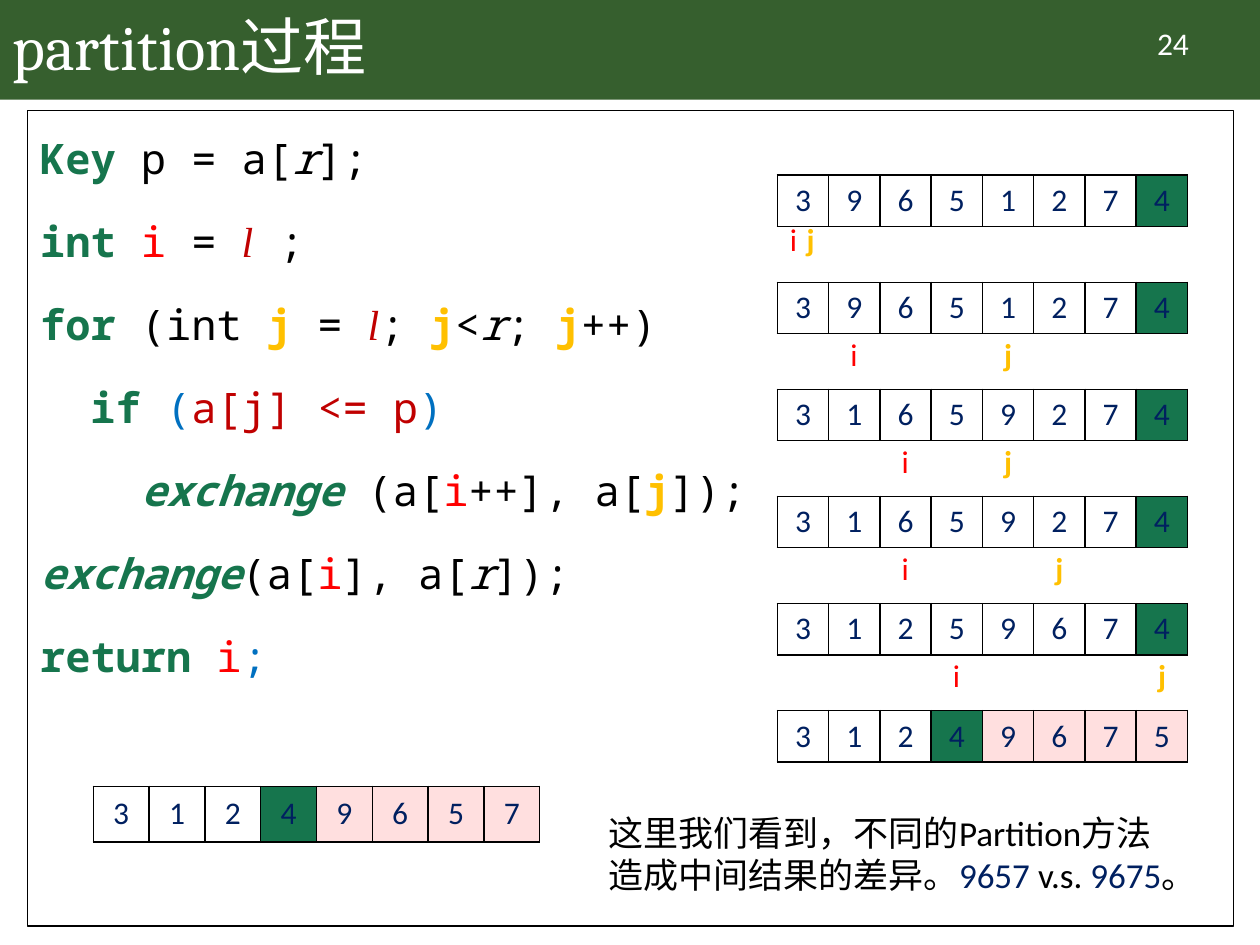
"""Build the slide that traces the quicksort partition process."""
from lxml import etree
from pptx import Presentation
from pptx.dml.color import RGBColor
from pptx.enum import shapes, text
from pptx.oxml import ns
from pptx.util import Inches, Pt

BLACK = RGBColor(0x00, 0x00, 0x00)
WHITE = RGBColor(0xFF, 0xFF, 0xFF)
FOREST = RGBColor(0x36, 0x5F, 0x2E)
GREEN = RGBColor(0x16, 0x75, 0x4D)
RED = RGBColor(0xFF, 0x00, 0x00)
CRIMSON = RGBColor(0xC0, 0x00, 0x00)
GOLD = RGBColor(0xFF, 0xC0, 0x00)
BLUE = RGBColor(0x00, 0x70, 0xC0)
NAVY = RGBColor(0x00, 0x20, 0x60)
PINK = RGBColor(0xFF, 0xDF, 0xDF)
MONO, SERIF = "Noto Sans Mono", "Times New Roman"


def write(paragraph, words, size, colour, font="Calibri", bold=False, italic=False):
    run = paragraph.add_run()
    run.text = words
    run.font.size = Pt(size)
    run.font.name = font
    run.font.color.rgb = colour
    run.font.bold = bold
    run.font.italic = italic


def add_array(slide, left, top, cell_size, values, pivot):
    count = len(values)
    frame = slide.shapes.add_table(
        1, count, Inches(left), Inches(top), Inches(cell_size * count), Inches(cell_size))
    array = frame.table
    array.first_row = array.horz_banding = False
    array.rows[0].height = Inches(cell_size)
    for index, value in enumerate(values):
        array.columns[index].width = Inches(cell_size)
        cell = array.cell(0, index)
        for side in ("a:lnL", "a:lnR", "a:lnT", "a:lnB"):
            border = etree.SubElement(cell._tc.get_or_add_tcPr(), ns.qn(side), w="12700")
            paint = etree.SubElement(border, ns.qn("a:solidFill"))
            etree.SubElement(paint, ns.qn("a:srgbClr"), val=str(BLACK))
        cell.fill.solid()
        cell.fill.fore_color.rgb = GREEN if index == pivot else PINK if index > pivot else WHITE
        cell.vertical_anchor = text.MSO_ANCHOR.MIDDLE
        cell.margin_left = cell.margin_right = Inches(0.07)
        cell.margin_top = cell.margin_bottom = Inches(0.04)
        paragraph = cell.text_frame.paragraphs[0]
        paragraph.alignment = text.PP_ALIGN.CENTER
        write(paragraph, value, 18, NAVY)


deck = Presentation()
deck.slide_width, deck.slide_height = Inches(10), Inches(7.5)
slide = deck.slides.add_slide(deck.slide_layouts[6])

banner = slide.shapes.add_shape(
    shapes.MSO_SHAPE.RECTANGLE, 0, 0, Inches(10), Inches(0.79))
banner.shadow.inherit = False
banner.fill.solid()
banner.fill.fore_color.rgb = FOREST
banner.line.fill.background()

title = slide.shapes.add_textbox(0, 0, Inches(8.62), Inches(0.79)).text_frame
title.word_wrap = True
title.vertical_anchor = text.MSO_ANCHOR.MIDDLE
title.paragraphs[0].line_spacing = 0.9
write(title.paragraphs[0], "partition过程", 36, WHITE, "Cambria")

code_lines = [
    [("Key ", GREEN, "b"), ("p = a[", BLACK, ""), ("r", BLACK, "i"), ("];", BLACK, "")],
    [("int ", GREEN, "b"), ("i ", RED, ""), ("= ", BLACK, ""), ("l", CRIMSON, "si"),
     (" ;", BLACK, "")],
    [("for ", GREEN, "b"), ("(int ", BLACK, ""), ("j ", GOLD, "b"), ("= ", BLACK, ""),
     ("l", CRIMSON, "si"), ("; ", BLACK, ""), ("j", GOLD, "b"), ("<", BLACK, ""),
     ("r", BLACK, "i"), ("; ", BLACK, ""), ("j", GOLD, "b"), ("++)", BLACK, "")],
    [("  ", BLUE, "b"), ("if", GREEN, "b"), (" (", BLUE, ""), ("a[j] <= p", CRIMSON, ""),
     (")", BLUE, "")],
    [("    ", BLUE, "i"), ("exchange ", GREEN, "bi"), ("(a[", BLACK, ""), ("i", RED, ""),
     ("++], a[", BLACK, ""), ("j", GOLD, "b"), ("]);", BLACK, "")],
    [("exchange", GREEN, "bi"), ("(a[", BLACK, ""), ("i", RED, ""), ("], a[", BLACK, ""),
     ("r", BLACK, "i"), ("]);", BLACK, "")],
    [("return ", GREEN, "b"), ("i", RED, ""), (";", BLUE, "")],
]
panel = slide.shapes.add_textbox(Inches(0.22), Inches(0.88), Inches(9.57), Inches(6.47))
panel.line.color.rgb = BLACK
panel.line.width = Pt(0.75)
code = panel.text_frame
code.word_wrap = True
for number, line in enumerate(code_lines):
    paragraph = code.add_paragraph() if number else code.paragraphs[0]
    paragraph.line_spacing = 1.3
    paragraph.space_before = Pt(10 if number else 0)
    for words, colour, style in line:
        write(paragraph, words, 24, colour, SERIF if "s" in style else MONO,
              "b" in style, "i" in style)

add_array(slide, 0.74, 6.24, 0.443, "31249657", 3)

trace_left, trace_top, trace_step, trace_cell = 6.17, 1.39, 0.85, 0.407
trace = [
    ("39651274", 7, -0.18, 0.15, 0.31),
    ("39651274", 7, 1, 4, 0.37),
    ("31659274", 7, 2, 4, 0.37),
    ("31659274", 7, 2, 5, 0.37),
    ("31259674", 7, 3, 7, 0.37),
    ("31249675", 3, None, None, 0),
]
for step, (values, pivot, i_cell, j_cell, drop) in enumerate(trace):
    top = trace_top + step * trace_step
    add_array(slide, trace_left, top, trace_cell, values, pivot)
    for letter, cell, colour in (("i", i_cell, RED), ("j", j_cell, GOLD)):
        if cell is None:
            continue
        left = trace_left + (cell + 0.5) * trace_cell - 0.13
        pointer = slide.shapes.add_textbox(
            Inches(left), Inches(top + drop), Inches(0.26), Inches(0.4)).text_frame
        pointer.word_wrap = False
        write(pointer.paragraphs[0], letter, 18, colour, bold=letter == "j")

remark = slide.shapes.add_textbox(
    Inches(4.73), Inches(6.39), Inches(5), Inches(0.77)).text_frame
remark.word_wrap = True
write(remark.paragraphs[0], "这里我们看到，不同的Partition方法", 20, BLACK)
result = remark.add_paragraph()
for words, colour in (("造成中间结果的差异。", BLACK), ("9657 ", NAVY), ("v.s. ", BLACK),
                      ("9675", NAVY), ("。", BLACK)):
    write(result, words, 20, colour)

page = slide.shapes.add_textbox(
    Inches(8.71), Inches(0.14), Inches(1.2), Inches(0.4)).text_frame
page.word_wrap = True
page.paragraphs[0].alignment = text.PP_ALIGN.CENTER
write(page.paragraphs[0], "24", 18, WHITE)

deck.save("out.pptx")
